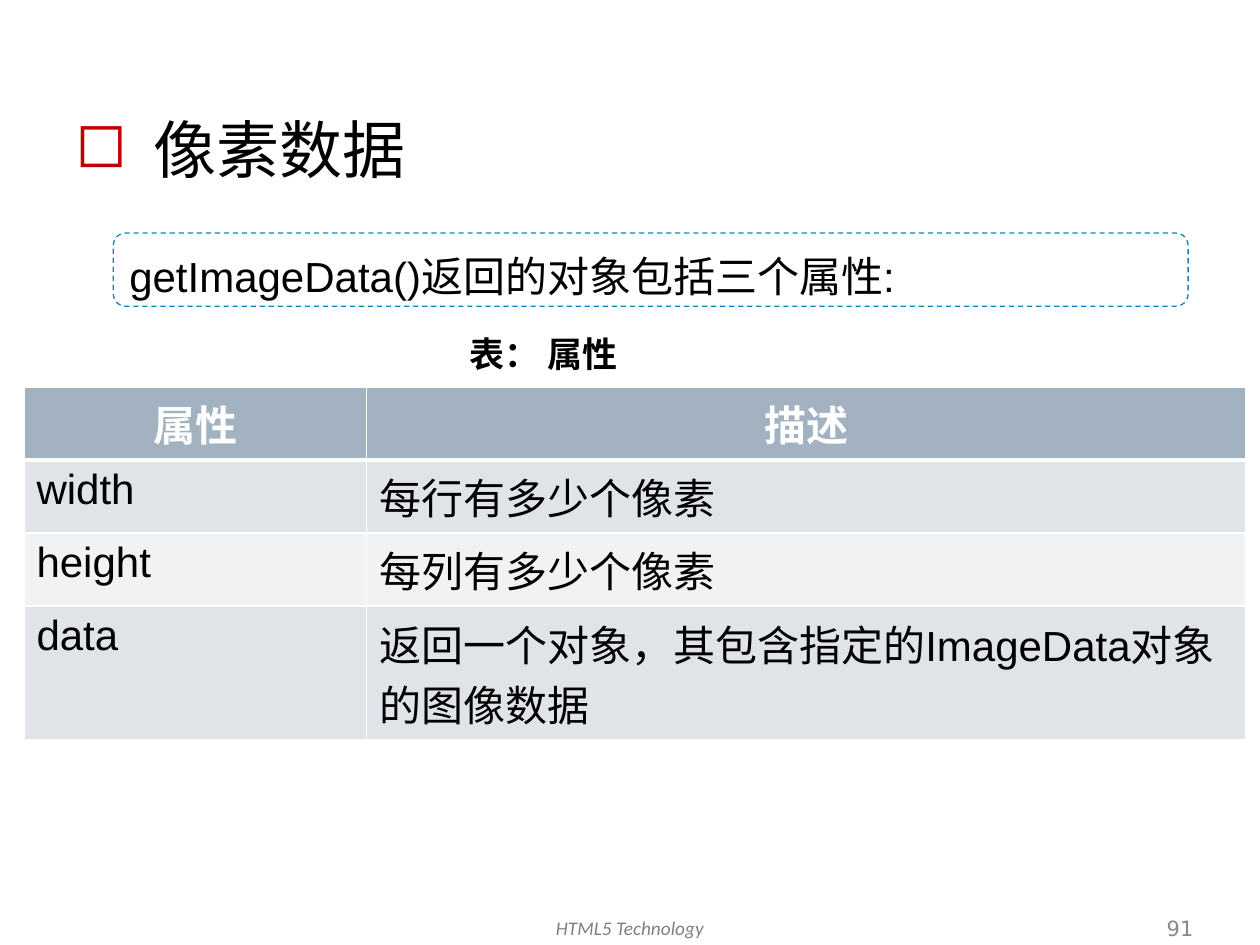
from dataclasses import dataclass

import pptx
import pptx.dml.color
import pptx.enum.dml
import pptx.enum.shapes
import pptx.enum.text
import pptx.oxml
import pptx.oxml.ns
import pptx.util
from pptx.util import Inches, Pt

RGBColor = pptx.dml.color.RGBColor
Align = pptx.enum.text.PP_ALIGN
Anchor = pptx.enum.text.MSO_ANCHOR

BLACK = RGBColor(0, 0, 0)
WHITE = RGBColor(0xFF, 0xFF, 0xFF)
RED = RGBColor(0xC0, 0, 0)
BLUE = RGBColor(0x10, 0x83, 0xC2)
GREY = RGBColor(0x80, 0x80, 0x80)
PALE = RGBColor(0x89, 0x89, 0x89)
HEAD = RGBColor(0xA3, 0xB2, 0xC1)
BANDS = (RGBColor(0xE0, 0xE4, 0xE9), RGBColor(0xF0, 0xF2, 0xF4))


@dataclass
class Style:
    size: float
    color: RGBColor = BLACK
    face: str = "Arial"
    bold: bool = False
    italic: bool = False
    align: Align = Align.LEFT


@dataclass
class Label:
    text: str
    box: tuple
    style: Style
    wrap: bool = True
    anchor: Anchor = Anchor.TOP
    bullet: str = ""


LABELS = [
    Label("像素数据", (0.5, 0.83, 9.35, 0.98), Style(36), bullet="◻"),
    Label("HTML5 Technology", (3.22, 7.22, 3.56, 0.33),
          Style(11, GREY, "Calibri", italic=True, align=Align.CENTER)),
    Label("91", (7.32, 7.22, 2.25, 0.29),
          Style(12, PALE, "DejaVu Sans", align=Align.RIGHT), anchor=Anchor.MIDDLE),
    Label("表： 属性", (3.63, 2.59, 1.41, 0.44), Style(20, bold=True), wrap=False),
]
ROWS = [
    ("属性", "描述"),
    ("width", "每行有多少个像素"),
    ("height", "每列有多少个像素"),
    ("data", "返回一个对象，其包含指定的ImageData对象的图像数据"),
]
COLS = (2.72, 6.98)
HEIGHTS = (0.58, 0.58, 0.58, 1.06)


def add_xml(parent, xml: str) -> None:
    space = pptx.oxml.ns.nsdecls("a")
    parent.append(pptx.oxml.parse_xml(xml.replace(" ", f" {space} ", 1)))


def write(frame, text: str, style: Style, bullet: str = ""):
    para = frame.paragraphs[0]
    para.text = text
    para.alignment = style.align
    if bullet:
        props = para._p.get_or_add_pPr()
        props.set("marL", str(Inches(0.62)))
        props.set("indent", str(-Inches(0.62)))
        add_xml(props, f'<a:buClr ><a:srgbClr val="{RED}"/></a:buClr>')
        add_xml(props, f'<a:buChar char="{bullet}"/>')
    font = para.font
    font.name, font.size = style.face, Pt(style.size)
    font.bold, font.italic = style.bold, style.italic
    font.color.rgb = style.color
    return para


def add_label(slide, label: Label) -> None:
    frame = slide.shapes.add_textbox(*map(Inches, label.box)).text_frame
    frame.word_wrap = label.wrap
    frame.vertical_anchor = label.anchor
    write(frame, label.text, label.style, label.bullet)


def add_note(slide) -> None:
    """Draw the dashed box that introduces the table."""
    box = slide.shapes.add_shape(
        pptx.enum.shapes.MSO_SHAPE.ROUNDED_RECTANGLE,
        *map(Inches, (0.9, 1.85, 8.53, 0.58)))
    box.shadow.inherit = False
    box.fill.background()
    box.line.color.rgb = BLUE
    box.line.width = Pt(0.75)
    box.line.dash_style = pptx.enum.dml.MSO_LINE.DASH
    frame = box.text_frame
    frame.word_wrap = True
    frame.vertical_anchor = Anchor.TOP
    para = write(frame, "getImageData()返回的对象包括三个属性:", Style(24))
    para.line_spacing = Pt(33)


def set_edges(cell, top: float, bottom: float) -> None:
    props = cell._tc.get_or_add_tcPr()
    for side, width in zip("LRTB", (1, 1, top, bottom)):
        add_xml(props, f'<a:ln{side} w="{Pt(width)}"><a:solidFill>'
                       f'<a:srgbClr val="{WHITE}"/></a:solidFill></a:ln{side}>')


def add_grid(slide) -> None:
    table = slide.shapes.add_table(
        len(ROWS), len(COLS), Inches(0.19), Inches(3.07),
        Inches(sum(COLS)), Inches(sum(HEIGHTS))).table
    for col, width in zip(table.columns, COLS):
        col.width = Inches(width)
    for row, height in zip(table.rows, HEIGHTS):
        row.height = Inches(height)
    head = Style(24, WHITE, bold=True, align=Align.CENTER)
    body = Style(24)
    for r, texts in enumerate(ROWS):
        for c, text in enumerate(texts):
            cell = table.cell(r, c)
            set_edges(cell, 3 if r == 1 else 1, 3 if r == 0 else 1)
            cell.fill.solid()
            cell.fill.fore_color.rgb = BANDS[(r - 1) % 2] if r else HEAD
            write(cell.text_frame, text, body if r else head)


def main() -> None:
    deck = pptx.Presentation()
    deck.slide_width, deck.slide_height = Inches(10), Inches(7.5)
    slide = deck.slides.add_slide(deck.slide_layouts[6])
    for label in LABELS:
        add_label(slide, label)
    add_grid(slide)
    add_note(slide)
    deck.save("out.pptx")


if __name__ == "__main__":
    main()
